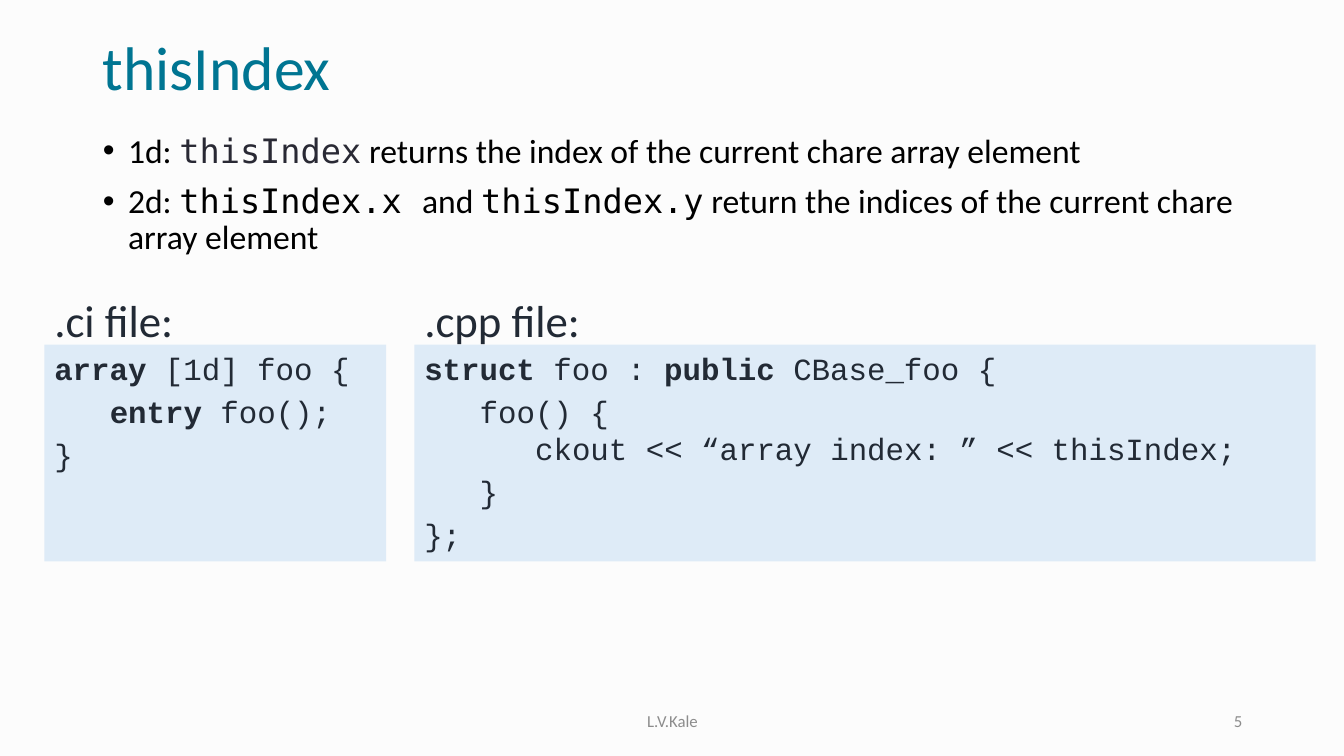
from dataclasses import dataclass

from pptx import Presentation
from pptx.dml.color import RGBColor
from pptx.enum.shapes import MSO_SHAPE
from pptx.enum.text import MSO_ANCHOR, MSO_AUTO_SIZE, PP_ALIGN
from pptx.util import Emu, Pt

RECT = MSO_SHAPE.RECTANGLE
TOP, MID = MSO_ANCHOR.TOP, MSO_ANCHOR.MIDDLE
LEFT, CENTER, RIGHT = PP_ALIGN.LEFT, PP_ALIGN.CENTER, PP_ALIGN.RIGHT
FIXED = MSO_AUTO_SIZE.NONE

PX = 9144  # EMU per px, 100 px to the inch
TAB = 55  # three characters of code
SANS, MONO, CODE = "Calibri", "DejaVu Sans Mono", "Courier New"
COLORS = {
    "back": "FCFCFC",
    "title": "007592",
    "text": "000000",
    "term": "292934",
    "code": "222A35",
    "panel": "DEEBF7",
    "foot": "8C8C8C",
}


@dataclass
class Run:
    text: str
    size: int
    color: str
    font: str = SANS
    bold: bool = False


@dataclass
class Para:
    runs: list[Run]
    align: PP_ALIGN = LEFT
    before: float = 0
    spacing: float = 1.0
    margin: int = 0
    hang: int = 0


@dataclass
class Box:
    left: int
    top: int
    width: int
    height: int


@dataclass
class Panel:
    label: str
    left: int
    width: int
    span: int  # width of the label
    lines: list[Para]


def rgb(name: str) -> RGBColor:
    return RGBColor.from_string(COLORS[name])


def area(box: Box) -> list[Emu]:
    return [Emu(n * PX) for n in (box.left, box.top, box.width, box.height)]


def write(shape, paras: list[Para], anchor: MSO_ANCHOR = TOP) -> None:
    frame = shape.text_frame
    frame.auto_size, frame.word_wrap = FIXED, True
    frame.vertical_anchor = anchor
    for i, para in enumerate(paras):
        p = frame.paragraphs[0] if i == 0 else frame.add_paragraph()
        p.alignment, p.line_spacing = para.align, para.spacing
        p.space_before = Pt(para.before)
        props = p._p.get_or_add_pPr()
        props.set("marL", str(para.margin * PX))
        props.set("indent", str(-para.hang * PX))
        for part in para.runs:
            run = p.add_run()
            run.text = part.text
            font = run.font
            font.name, font.size, font.bold = part.font, Pt(part.size), part.bold
            font.color.rgb = rgb(part.color)


def place(holder, box: Box) -> None:
    holder.left, holder.top, holder.width, holder.height = area(box)


def label(slide, box: Box, para: Para, anchor: MSO_ANCHOR = TOP) -> None:
    write(slide.shapes.add_textbox(*area(box)), [para], anchor)


def draw(slide, panel: Panel) -> None:
    head = Para([Run(panel.label, 32, "code")], before=6.4)
    label(slide, Box(panel.left, 285, panel.span, 70), head)
    rect = slide.shapes.add_shape(RECT, *area(Box(panel.left, 342, panel.width, 215)))
    rect.shadow.inherit = False
    rect.fill.solid()
    rect.fill.fore_color.rgb = rgb("panel")
    rect.line.fill.background()
    write(rect, panel.lines)


def word(text: str, font: str = SANS, color: str = "text") -> Run:
    return Run(text, 24, color, font)


def item(*runs: Run) -> Para:
    return Para(list(runs), before=10, spacing=0.9, margin=25, hang=25)


def code(text: str, bold: bool = False) -> Run:
    return Run(text, 22, "code", CODE, bold)


def line(*runs: Run, depth: int = 0, before: float = 4.4) -> Para:
    return Para(list(runs), before=before, margin=depth * TAB)


ITEMS = [
    item(
        word("1d: "),
        word("thisIndex", MONO, "term"),
        word(" returns the index of the current chare array element"),
    ),
    item(
        word("2d: "),
        word("thisIndex.x ", MONO),
        word("and "),
        word("thisIndex.y", MONO),
        word(" return the indices of the current chare array element"),
    ),
]

PANELS = [
    Panel(".ci file:", 44, 339, 366, [
        line(code("array", True), code(" [1d] foo {")),
        line(code("entry ", True), code("foo();"), depth=1),
        line(code("}")),
    ]),
    Panel(".cpp file:", 411, 894, 876, [
        line(code("struct", True), code(" foo : "),
             code("public", True), code(" CBase_foo {")),
        line(code("foo() {"), depth=1),
        line(code("ckout << “array index: ” << thisIndex;"), depth=2, before=0),
        line(code("}"), depth=1),
        line(code("};")),
    ]),
]


def main() -> None:
    deck = Presentation()
    deck.slide_width, deck.slide_height = Emu(1333 * PX), Emu(750 * PX)
    slide = deck.slides.add_slide(deck.slide_layouts[1])
    slide.background.fill.solid()
    slide.background.fill.fore_color.rgb = rgb("back")

    # Title and list
    title, body = slide.shapes.title, slide.placeholders[1]
    place(title, Box(92, 28, 1150, 84))
    write(title, [Para([Run("thisIndex", 44, "title")], spacing=0.9)], MID)
    place(body, Box(92, 128, 1150, 548))
    write(body, ITEMS)

    # Footer
    for text, left, width, align in (("L.V.Kale", 442, 450, CENTER),
                                     ("5", 942, 300, RIGHT)):
        foot = Para([Run(text, 12, "foot")], align)
        label(slide, Box(left, 695, width, 40), foot, MID)

    # Code panels
    for panel in PANELS:
        draw(slide, panel)

    deck.save("out.pptx")


if __name__ == "__main__":
    main()
